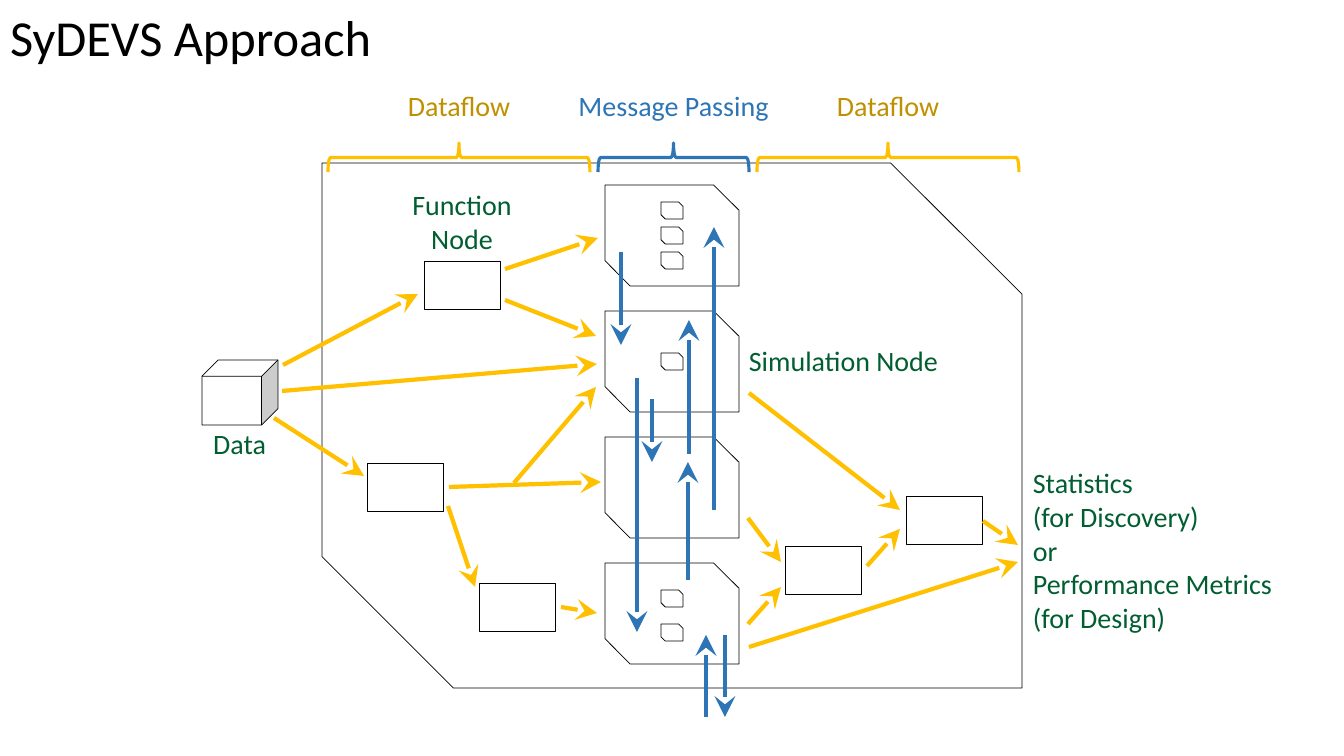
"""Builds the SyDEVS approach slide: dataflow nodes around message-passing simulation nodes."""
from lxml import etree
from pptx import Presentation
from pptx.dml.color import RGBColor
from pptx.enum.shapes import MSO_CONNECTOR, MSO_SHAPE
from pptx.enum.text import MSO_ANCHOR, PP_ALIGN
from pptx.oxml import parse_xml
from pptx.oxml.ns import nsdecls, qn
from pptx.util import Emu, Pt

STRAIGHT = MSO_CONNECTOR.STRAIGHT
SNIP = MSO_SHAPE.SNIP_2_DIAG_RECTANGLE
RECT = MSO_SHAPE.RECTANGLE
CUBE = MSO_SHAPE.CUBE
BRACE = MSO_SHAPE.RIGHT_BRACE
LEFT, CENTER = PP_ALIGN.LEFT, PP_ALIGN.CENTER
TOP, MIDDLE = MSO_ANCHOR.TOP, MSO_ANCHOR.MIDDLE

BLACK = RGBColor(0x00, 0x00, 0x00)
WHITE = RGBColor(0xFF, 0xFF, 0xFF)
YELLOW = RGBColor(0xFF, 0xC0, 0x00)
GOLD = RGBColor(0xBF, 0x90, 0x00)
BLUE = RGBColor(0x2E, 0x75, 0xB6)
GREEN = RGBColor(0x00, 0x5E, 0x30)

TEXT_SHADOW = (
    f'<a:effectLst {nsdecls("a")}><a:outerShdw blurRad="38100" dist="38100" dir="2700000" algn="tl">'
    '<a:srgbClr val="000000"><a:alpha val="43000"/></a:srgbClr></a:outerShdw></a:effectLst>'
)


class Slide:
    """Holds the style and the current slide; lengths are pixels."""

    font = "Calibri"
    scale = 914400 / 100.8

    def __init__(self, prs):
        self.s = prs.slides.add_slide(prs.slide_layouts[5])

    def px(self, *values):
        return [Emu(round(v * self.scale)) for v in values]

    def set_text(self, sp, text, size, color, align, anchor):
        tf = sp.text_frame
        tf.text = text
        tf.word_wrap = True
        tf.vertical_anchor = anchor
        for p in tf.paragraphs:
            p.alignment = align
            for r in p.runs:
                r.font.size = Pt(size)
                r.font.name = self.font
                r.font.color.rgb = color

    def title(self, text, x, y, w, h):
        sp = self.s.shapes.title
        sp.left, sp.top, sp.width, sp.height = self.px(x, y, w, h)
        self.set_text(sp, text, 36, BLACK, LEFT, MIDDLE)

    def label(self, text, x, y, w, h, color, align=CENTER):
        sp = self.s.shapes.add_textbox(*self.px(x, y, w, h))
        self.set_text(sp, text, 20, color, align, TOP)
        for fill in sp._element.iter(qn("a:solidFill")):
            fill.addnext(parse_xml(TEXT_SHADOW))

    def shape(self, kind, x, y, w, h):
        sp = self.s.shapes.add_shape(kind, *self.px(x, y, w, h))
        sp.shadow.inherit = False
        sp.fill.solid()
        sp.fill.fore_color.rgb = WHITE
        sp.line.color.rgb = BLACK
        sp.line.width = Pt(0.5)
        return sp

    def snip(self, x, y, w, h):
        sp = self.shape(SNIP, x, y, w, h)
        sp.adjustments[0] = 0
        sp.adjustments[1] = 0.25

    def brace(self, x, y, w, h, color):
        sp = self.shape(BRACE, x + (w - h) / 2, y - (w - h) / 2, h, w)
        sp.rotation = 270
        sp.fill.background()
        sp.line.color.rgb = color
        sp.line.width = Pt(2.25)

    def arrow(self, x1, y1, x2, y2, color):
        c = self.s.shapes.add_connector(STRAIGHT, *self.px(x1, y1, x2, y2))
        c.line.color.rgb = color
        c.line.width = Pt(3)
        sp_pr = c._element.spPr
        etree.SubElement(sp_pr.find(qn("a:ln")), qn("a:tailEnd"), type="stealth", w="lg", len="lg")
        etree.SubElement(sp_pr, qn("a:effectLst"))


prs = Presentation()
prs.slide_width, prs.slide_height = Emu(12192000), Emu(6858000)
slide = Slide(prs)
slide.title("SyDEVS Approach", 0, 0, 512, 72)

slide.snip(322, 163, 700, 525)
slide.arrow(514, 483, 596, 387, YELLOW)
for row in range(4):
    slide.snip(605, 185 + 126 * row, 134, 101)
for y in (202, 227, 252, 353, 590, 624):
    slide.snip(661, y, 22, 17)

MESSAGES = [
    (621, 252, 345), (637, 378, 632), (688, 580, 462), (714, 510, 227),
    (689, 454, 320), (706, 717, 635), (725, 635, 717), (652, 399, 462),
]
for x, start, end in MESSAGES:
    slide.arrow(x, start, x, end, BLUE)

slide.shape(CUBE, 202, 360, 76, 65)
for x, y in [(424, 261), (367, 463), (479, 583), (785, 546), (906, 496)]:
    slide.shape(RECT, x, y, 76, 48)

FLOWS = [
    (283, 365, 418, 294), (274, 418, 364, 476), (282, 391, 597, 364),
    (505, 269, 598, 238), (505, 300, 596, 336), (449, 487, 601, 482),
    (561, 607, 597, 613), (448, 506, 475, 587), (749, 393, 900, 510),
    (748, 518, 781, 562), (748, 624, 781, 587), (867, 566, 900, 529),
    (983, 521, 1018, 545), (749, 647, 1018, 562),
]
for flow in FLOWS:
    slide.arrow(*flow, YELLOW)

PHASES = [
    ("Dataflow", 328, 262, YELLOW, GOLD),
    ("Message Passing", 598, 151, BLUE, BLUE),
    ("Dataflow", 757, 262, YELLOW, GOLD),
]
for text, x, w, line_color, text_color in PHASES:
    slide.brace(x, 143, w, 29, line_color)
    slide.label(text, x + w / 2 - 133, 84, 266, 44, text_color)

slide.label("Function\nNode", 379, 183, 166, 78, GREEN)
slide.label("Data", 189, 422, 101, 44, GREEN)
slide.label("Simulation Node", 739, 339, 242, 44, GREEN, LEFT)
slide.label("Statistics\n(for Discovery)\nor\nPerformance Metrics\n(for Design)",
            1023, 461, 282, 179, GREEN, LEFT)

prs.save("out.pptx")
